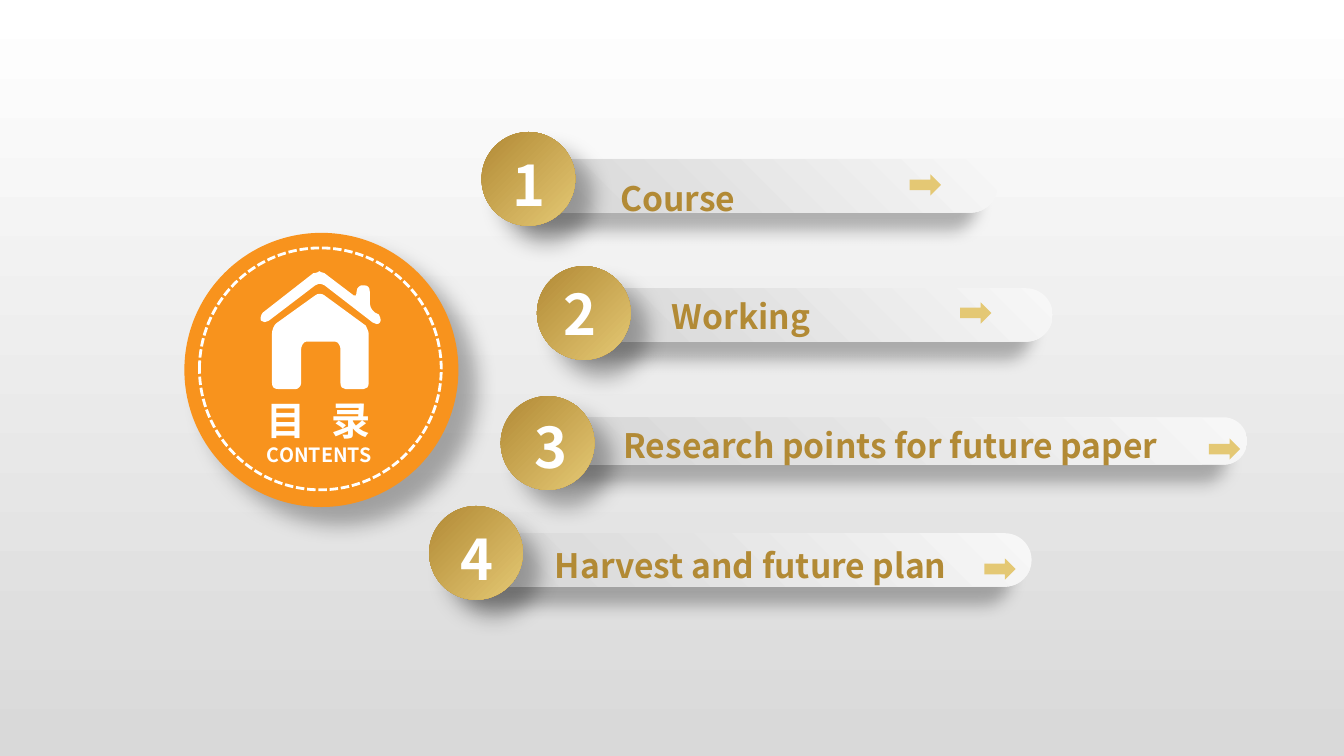
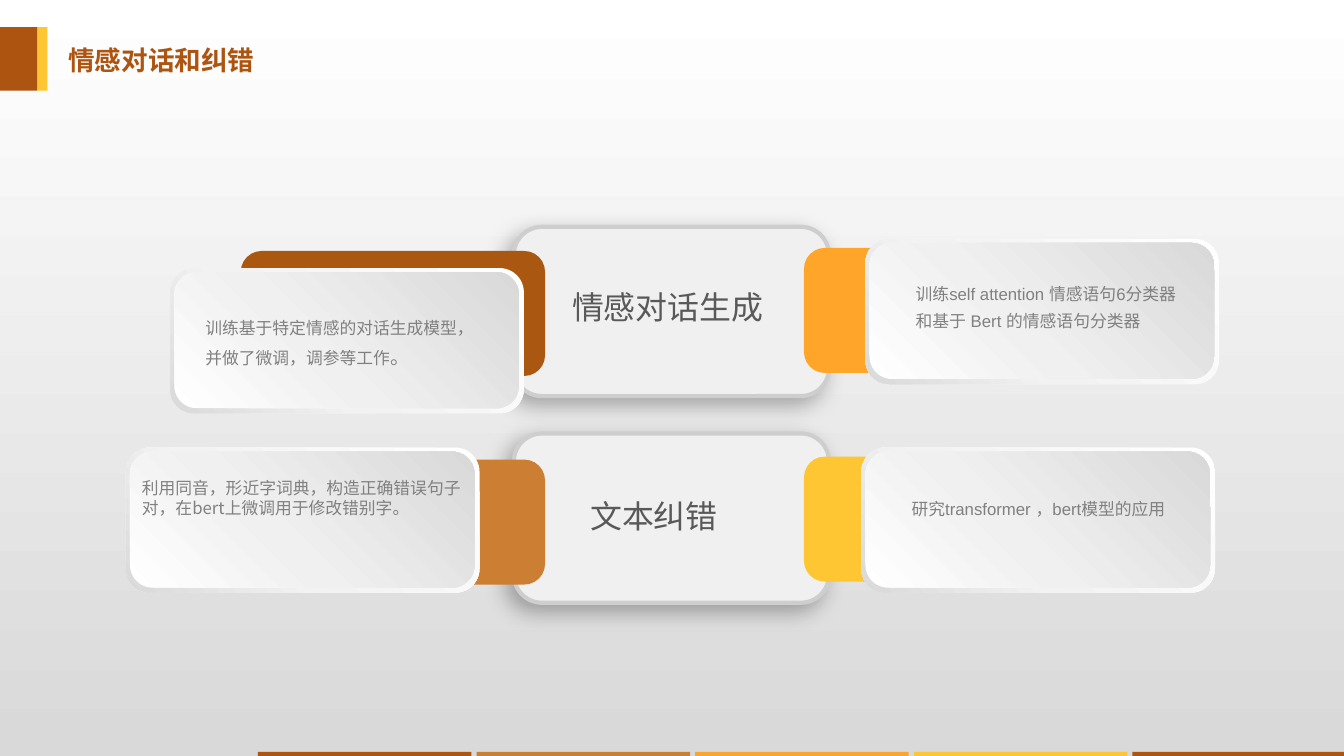
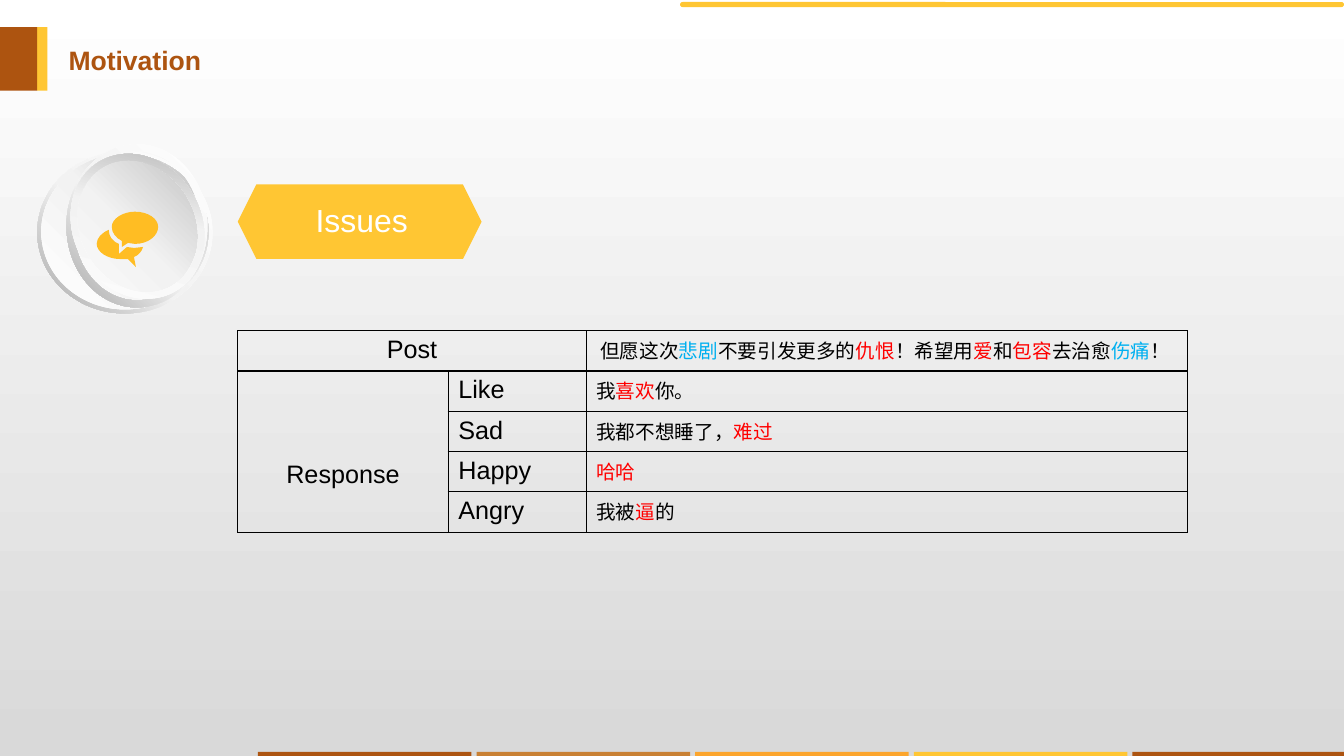
from copy import deepcopy
from typing import NamedTuple, Optional, Sequence

from pptx import Presentation, util as u
from pptx.dml.color import RGBColor
from pptx.enum import dml, shapes, text
from pptx.oxml import parse_xml
from pptx.oxml.ns import nsdecls, qn

C = {
    "white": "FFFFFF", "black": "000000", "page_end": "D9D9D9", "orange": "F8931D",
    "gold": "B28A35", "gold_light": "E4C874", "bar": "D6D6D6", "bar_end": "F7F7F7",
    "panel": "F0F0F0", "panel_end": "F1F1F1", "panel_line": "CECECE", "pale": "F2F2F2",
    "rim": "A6A6A6", "disc": "BFBFBF", "brown": "AD5410", "yellow": "FFC633",
    "bronze": "C98033", "amber": "FCA52C", "tab_brown": "A95711", "tab_bronze": "CC7E33",
    "tab_amber": "FFA52A", "bubble": "FFBD23", "dark": "595959", "grey": "808080",
    "red": "FF0000", "blue": "00B0F0",
}
CJK, LATIN = "Noto Sans CJK SC", "Arial"
KIND = shapes.MSO_SHAPE
TOP, MIDDLE = text.MSO_ANCHOR.TOP, text.MSO_ANCHOR.MIDDLE
CENTER = text.PP_ALIGN.CENTER


class Box(NamedTuple):
    left: float
    top: float
    width: float
    height: float

    def emu(self) -> list:
        return [u.Inches(v) for v in self]


class Font(NamedTuple):
    size: float
    color: str
    name: str = LATIN
    bold: bool = False


class Gradient(NamedTuple):
    """Stops are (percent, colour); the angle runs clockwise, None is radial."""
    stops: Sequence
    angle: Optional[float]


class Shadow(NamedTuple):
    alpha: float
    blur: float
    distance: float
    angle: float


class Entry(NamedTuple):
    """One line of the contents slide."""
    label: str
    bar: Box
    circle: tuple
    number: tuple
    text: Box
    arrow: tuple


class Panel(NamedTuple):
    """A coloured tab with a card over it; each line is a list of (words, size)."""
    tab: tuple
    color: str
    card: tuple
    text: Box
    lines: Sequence
    font: Font
    spacing: float


PAGE = Gradient([(0, "white"), (99, "page_end")], 90)
BAR = Gradient([(0, "bar"), (100, "bar_end")], None)
GOLD = Gradient([(0, "gold"), (100, "gold_light")], 45)
BOARD = Gradient([(0, "panel"), (100, "panel_end")], 45)
CARD_RIM = Gradient([(0, "white"), (62, "pale"), (100, "page_end")], 135)
CARD = Gradient([(0, "white"), (42, "panel"), (100, "page_end")], 315)
RING = Gradient([(0, "white"), (55, "pale"), (100, "rim")], 135)
DISC = Gradient([(0, "white"), (51, "pale"), (100, "disc")], 315)

ROUND_SHADOW = Shadow(30, 15, 18, 45)
BAR_SHADOW = Shadow(28, 11.8, 19.7, 141)
BOARD_SHADOW = Shadow(30, 16, 7, 135)

TITLE = Font(19, "brown", LATIN, True)
NUMBER = Font(40, "white", CJK, True)
LABEL = Font(24, "gold", CJK, True)
HEADING = Font(22.8, "dark")
BODY = Font(12, "grey")

ENTRIES = [
    Entry("Course", Box(5.33, 1.58, 4.57, 0.53), (4.78, 1.31), (4.94, 1.43),
          Box(6.06, 1.7, 3.64, 0.52), (9.03, 1.73)),
    Entry("Working", Box(5.88, 2.86, 4.57, 0.53), (5.33, 2.64), (5.44, 2.71),
          Box(6.57, 2.88, 3.64, 0.52), (9.53, 3)),
    Entry("Research points for future paper", Box(5.53, 4.14, 6.85, 0.47), (4.97, 3.93),
          (5.15, 4.03), Box(6.09, 4.16, 6.12, 0.52), (12, 4.35)),
    Entry("Harvest and future plan", Box(4.81, 5.29, 5.43, 0.53), (4.26, 5.02),
          (4.42, 5.14), Box(5.41, 5.35, 4.5, 0.52), (9.77, 5.54)),
]
PANELS = [
    Panel((2.39, 2.49), "tab_brown", (1.69, 2.66), Box(1.94, 3.04, 2.72, 0.64),
          [[("训练基于特定情感的对话生成模型，并做了微调，调参等工作", 12), ("。", 14)]],
          BODY, 1.3),
    Panel((2.39, 4.56), "tab_bronze", (1.25, 4.44), Box(1.31, 4.69, 3.42, 0.5),
          [[("利用同音，形近字词典，构造正确错误句子对，在bert上微调用于修改错别字。", 12)]],
          Font(12, "grey", CJK), 1),
    Panel((7.98, 2.46), "tab_amber", (8.59, 2.37), Box(8.99, 2.71, 3.12, 0.63),
          [[("训练self attention 情感语句6分类器", 12)], [("和基于 Bert 的情感语句分类器", 12)]],
          BODY, 1.3),
    Panel((7.98, 4.53), "yellow", (8.55, 4.44), Box(8.95, 4.84, 2.84, 0.36),
          [[("研究transformer ，bert模型的应用", 12)]], BODY, 1.3),
]

# Outlines: two numbers are a straight step, six are a cubic curve.
HOUSE = [
    (3.22, 2.93), (3.2, 2.91, 3.15, 2.91, 3.13, 2.93), (2.74, 3.21),
    (2.72, 3.23, 2.7, 3.27, 2.7, 3.31), (2.7, 3.8), (2.7, 3.84, 2.72, 3.86, 2.76, 3.86),
    (2.94, 3.86), (2.95, 3.86, 2.99, 3.84, 2.99, 3.8), (2.99, 3.46),
    (2.99, 3.44, 3.01, 3.39, 3.04, 3.39), (3.33, 3.39),
    (3.36, 3.39, 3.38, 3.44, 3.38, 3.46), (3.38, 3.8),
    (3.38, 3.84, 3.4, 3.86, 3.43, 3.86), (3.61, 3.86),
    (3.64, 3.86, 3.66, 3.84, 3.66, 3.8), (3.66, 3.31),
    (3.66, 3.29, 3.64, 3.25, 3.63, 3.23),
]
ROOF = [
    (3.72, 3.1), (3.68, 3.07, 3.67, 3.03, 3.67, 2.99), (3.67, 2.89),
    (3.67, 2.85, 3.65, 2.83, 3.61, 2.83), (3.59, 2.83),
    (3.58, 2.83, 3.54, 2.85, 3.54, 2.89), (3.54, 2.93, 3.52, 2.95, 3.51, 2.93),
    (3.22, 2.71), (3.2, 2.71, 3.17, 2.69, 3.17, 2.69),
    (3.17, 2.69, 3.15, 2.71, 3.11, 2.71), (2.61, 3.1),
    (2.59, 3.12, 2.58, 3.16, 2.59, 3.18), (2.61, 3.2, 2.63, 3.2, 2.67, 3.18),
    (3.13, 2.83), (3.15, 2.81, 3.18, 2.81, 3.22, 2.83), (3.7, 3.2),
    (3.72, 3.22, 3.76, 3.22, 3.77, 3.2), (3.79, 3.18, 3.77, 3.14, 3.76, 3.12),
]
BACK_BUBBLE = [
    (1.26, 2.45), (1.25, 2.46, 1.18, 2.52, 1.18, 2.52), (1.18, 2.42),
    (1.11, 2.39, 1.08, 2.34, 1.08, 2.28), (1.01, 2.31, 0.96, 2.36, 0.96, 2.42),
    (0.96, 2.5, 1.07, 2.57, 1.19, 2.57), (1.27, 2.57), (1.35, 2.65), (1.33, 2.55),
    (1.38, 2.53, 1.41, 2.49, 1.42, 2.45), (1.39, 2.45, 1.36, 2.46, 1.33, 2.46),
]
FRONT_BUBBLE = [
    (1.34, 2.1), (1.22, 2.1, 1.11, 2.17, 1.11, 2.25), (1.11, 2.31, 1.15, 2.36, 1.21, 2.39),
    (1.21, 2.45), (1.27, 2.41), (1.29, 2.41, 1.32, 2.42, 1.34, 2.42),
    (1.47, 2.42, 1.57, 2.34, 1.57, 2.25), (1.57, 2.17, 1.47, 2.1, 1.34, 2.1),
]

REPLIES = [
    ("Like", [("我", "black"), ("喜欢", "red"), ("你。", "black")]),
    ("Sad", [("我都不想睡了，", "black"), ("难过", "red")]),
    ("Happy", [("哈哈", "red")]),
    ("Angry", [("我被", "black"), ("逼", "red"), ("的", "black")]),
]
POST = [("但愿这次", "black"), ("悲剧", "blue"), ("不要引发更多的", "black"), ("仇恨", "red"),
        ("！希望用", "black"), ("爱", "red"), ("和", "black"), ("包容", "red"),
        ("去治愈", "black"), ("伤痛", "blue"), ("！", "black")]


def rgb(name: str) -> RGBColor:
    return RGBColor.from_string(C[name])


def set_gradient(fill, element, gradient: Gradient) -> None:
    fill.gradient()
    stops = element.find(".//" + qn("a:gsLst"))
    while len(stops) < len(gradient.stops):
        stops.append(deepcopy(stops[0]))
    for stop, (position, color) in zip(fill.gradient_stops, gradient.stops):
        stop.color.rgb = rgb(color)
        stop.position = position / 100
    if gradient.angle is None:
        lin = element.find(".//" + qn("a:lin"))
        lin.getparent().replace(lin, parse_xml(
            f'<a:path {nsdecls("a")} path="circle">'
            '<a:fillToRect t="100000" r="100000"/></a:path>'))
    else:
        fill.gradient_angle = 360 - gradient.angle


def finish(sp, fill, shadow: Optional[Shadow] = None):
    """Give a new shape its fill and shadow, and no outline."""
    sp.shadow.inherit = False
    sp.line.fill.background()
    if fill is None:
        sp.fill.background()
    elif isinstance(fill, Gradient):
        set_gradient(sp.fill, sp.element, fill)
    else:
        sp.fill.solid()
        sp.fill.fore_color.rgb = rgb(fill)
    if shadow:
        sp.element.spPr.find(qn("a:effectLst")).append(parse_xml(
            f'<a:outerShdw {nsdecls("a")} blurRad="{u.Pt(shadow.blur)}" '
            f'dist="{u.Pt(shadow.distance)}" dir="{shadow.angle * 60000}" '
            f'algn="ctr" rotWithShape="0"><a:srgbClr val="{C["black"]}">'
            f'<a:alpha val="{shadow.alpha * 1000}"/></a:srgbClr></a:outerShdw>'))
    return sp


def add_shape(s, kind, box: Box, fill, shadow: Optional[Shadow] = None,
              adjust: Optional[float] = None):
    sp = s.shapes.add_shape(kind, *box.emu())
    if adjust is not None:
        sp.adjustments[0] = adjust
    return finish(sp, fill, shadow)


def add_outline(s, contours: Sequence, fill: str) -> None:
    """Build one freeform, then bend the steps that are cubic curves."""
    builder = None
    for start, *steps in contours:
        x, y = (u.Inches(v) for v in start)
        if builder is None:
            builder = s.shapes.build_freeform(x, y, scale=1.0)
        else:
            builder.move_to(x, y)
        builder.add_line_segments([(u.Inches(seg[-2]), u.Inches(seg[-1])) for seg in steps])
    sp = finish(builder.convert_to_shape(), fill)
    steps = [seg for contour in contours for seg in contour[1:]]
    for line, seg in zip(list(sp.element.iter(qn("a:lnTo"))), steps):
        if len(seg) == 6:
            points = "".join(f'<a:pt x="{u.Inches(x) - sp.left}" y="{u.Inches(y) - sp.top}"/>'
                             for x, y in zip(seg[::2], seg[1::2]))
            line.getparent().replace(line, parse_xml(
                f'<a:cubicBezTo {nsdecls("a")}>{points}</a:cubicBezTo>'))


def style(p, font: Font, align=None, spacing: Optional[float] = None) -> None:
    p.font.size = u.Pt(font.size)
    p.font.bold = font.bold
    p.font.color.rgb = rgb(font.color)
    p.font.name = font.name
    p._p.find(".//" + qn("a:defRPr")).append(
        parse_xml(f'<a:ea {nsdecls("a")} typeface="{font.name}"/>'))
    if align is not None:
        p.alignment = align
    if spacing is not None:
        p.line_spacing = spacing


def write(tf, lines: Sequence, font: Font, align=None, spacing: Optional[float] = None,
          anchor=MIDDLE) -> None:
    """Each line is a list of (words, size)."""
    tf.word_wrap = True
    tf.vertical_anchor = anchor
    for i, line in enumerate(lines):
        p = tf.add_paragraph() if i else tf.paragraphs[0]
        style(p, font, align, spacing)
        for words, size in line:
            r = p.add_run()
            r.text = words
            if size != font.size:
                r.font.size = u.Pt(size)


def add_text(s, box: Box, words: str, font: Font, align=None) -> None:
    write(s.shapes.add_textbox(*box.emu()).text_frame, [[(words, font.size)]], font, align)


def add_title(s, box: Box, lines: Sequence, font: Font):
    """Place the title in front of what is drawn so far."""
    sp = s.shapes.title
    sp.left, sp.top, sp.width, sp.height = box.emu()
    sp.element.getparent().append(sp.element)
    sp.text_frame.auto_size = text.MSO_AUTO_SIZE.NONE
    write(sp.text_frame, lines, font, align=text.PP_ALIGN.LEFT)
    return sp


def new_slide(prs):
    return prs.slides.add_slide(prs.slide_layouts[5])


def content_slide(prs, title: str):
    s = new_slide(prs)
    add_shape(s, KIND.RECTANGLE, Box(0.37, 0.27, 0.1, 0.63), "yellow")
    add_shape(s, KIND.RECTANGLE, Box(0, 0.27, 0.37, 0.63), "brown")
    for i, color in enumerate(("brown", "bronze", "amber", "yellow", "brown")):
        add_shape(s, KIND.RECTANGLE, Box(2.56 + 2.17 * i, 7.46, 2.12, 0.05), color)
    add_title(s, Box(0.58, 0.38, 2.4, 0.42), [[(title, TITLE.size)]], TITLE)
    return s


def contents(prs) -> None:
    s = new_slide(prs)
    add_shape(s, KIND.OVAL, Box(1.83, 2.31, 2.72, 2.72), "orange", ROUND_SHADOW)
    for outline in (HOUSE, ROOF):
        add_outline(s, [outline], "white")
    title = add_title(s, Box(2.55, 3.82, 1.48, 0.92), [[("目 录", 28)], [("CONTENTS", 14)]],
                      Font(28, "white", CJK, True))
    title.text_frame.paragraphs[0].runs[0].font._element.set("spc", "600")
    ring = add_shape(s, KIND.OVAL, Box(1.98, 2.46, 2.4, 2.4), None)
    ring.line.color.rgb = rgb("white")
    ring.line.width = u.Pt(2)
    ring.line.dash_style = dml.MSO_LINE.SQUARE_DOT
    for i, e in enumerate(ENTRIES, 1):
        add_shape(s, KIND.ROUNDED_RECTANGLE, e.bar, BAR, BAR_SHADOW, 0.5)
        add_shape(s, KIND.OVAL, Box(*e.circle, 0.93, 0.93), GOLD, ROUND_SHADOW)
        add_text(s, Box(*e.number, 0.63, 0.8), str(i), NUMBER, CENTER)
        add_text(s, e.text, e.label, LABEL)
        add_shape(s, KIND.RIGHT_ARROW, Box(*e.arrow, 0.31, 0.21), "gold_light")


def dialogue(prs) -> None:
    s = content_slide(prs, "情感对话和纠错")
    for top in (2.25, 4.3):
        board = add_shape(s, KIND.ROUNDED_RECTANGLE, Box(5.1, top, 3.13, 1.68), BOARD,
                          BOARD_SHADOW)
        board.line.color.rgb = rgb("panel_line")
        board.line.width = u.Pt(3)
    for panel in PANELS:
        x, y = panel.tab
        left, top = panel.card
        for box, fill in ((Box(x, y, 3.02, 1.24), panel.color),
                          (Box(x + 0.03, y + 0.04, 2.95, 1.17), panel.color),
                          (Box(left, top, 3.51, 1.44), CARD_RIM),
                          (Box(left + 0.04, top + 0.04, 3.42, 1.35), CARD)):
            add_shape(s, KIND.ROUNDED_RECTANGLE, box, fill)
        write(s.shapes.add_textbox(*panel.text.emu()).text_frame, panel.lines, panel.font,
              spacing=panel.spacing, anchor=TOP)
    add_text(s, Box(5.58, 2.8, 2.35, 0.48), "情感对话生成", HEADING)
    add_text(s, Box(5.76, 4.88, 2.35, 0.48), "文本纠错", HEADING)


def fill_cell(cell, runs: Sequence, size: float, align=None) -> None:
    p = cell.text_frame.paragraphs[0]
    style(p, Font(size, "black"), align)
    for words, color in runs:
        r = p.add_run()
        r.text = words
        if color != "black":
            r.font.color.rgb = rgb(color)


def add_replies(s) -> None:
    table = s.shapes.add_table(5, 3, *Box(2.36, 3.28, 9.42, 2).emu()).table
    table.first_row = table.horz_banding = False
    for column, width in zip(table.columns, (2.09, 1.37, 5.97)):
        column.width = u.Inches(width)
    for cell in table.iter_cells():
        cell.fill.background()
        cell.vertical_anchor = TOP
        tc_pr = cell._tc.get_or_add_tcPr()
        for i, side in enumerate("LRTB"):
            tc_pr.insert(i, parse_xml(
                f'<a:ln{side} {nsdecls("a")} w="{u.Pt(1)}"><a:solidFill>'
                f'<a:srgbClr val="{C["black"]}"/></a:solidFill></a:ln{side}>'))
    table.cell(0, 0).merge(table.cell(0, 1))
    response = table.cell(1, 0)
    response.merge(table.cell(4, 0))
    response.vertical_anchor = MIDDLE
    response.margin_top = u.Inches(0.52)
    table.cell(0, 2).margin_left = u.Inches(0.14)
    fill_cell(table.cell(0, 0), [("Post", "black")], 18, CENTER)
    fill_cell(response, [("Response", "black")], 18, CENTER)
    for row, (mood, reply) in enumerate([("", POST), *REPLIES]):
        if mood:
            fill_cell(table.cell(row, 1), [(mood, "black")], 18)
        table.cell(row, 2).margin_top = u.Inches(0.1)
        fill_cell(table.cell(row, 2), reply, 14)


def motivation(prs) -> None:
    s = content_slide(prs, "Motivation")
    issues = add_shape(s, KIND.HEXAGON, Box(2.36, 1.83, 2.42, 0.74), "yellow")
    write(issues.text_frame, [[("Issues", 22.8)]], Font(22.8, "white"), align=CENTER)
    issues.text_frame.margin_left = u.Inches(0.14)
    issues.text_frame.margin_bottom = u.Inches(0.09)
    add_shape(s, KIND.DONUT, Box(0.37, 1.5, 1.74, 1.61), RING, adjust=0.05)
    add_shape(s, KIND.OVAL, Box(0.41, 1.53, 1.66, 1.54), DISC)
    add_shape(s, KIND.DONUT, Box(0.66, 1.43, 1.4, 1.62), RING, adjust=0.05)
    inner = add_shape(s, KIND.DONUT, Box(0.73, 1.5, 1.27, 1.49), RING, adjust=0.05)
    inner.rotation = 150
    add_shape(s, KIND.ROUNDED_RECTANGLE, Box(6.75, 0.02, 6.59, 0.05), "yellow", adjust=0.5)
    add_replies(s)
    add_outline(s, [BACK_BUBBLE, FRONT_BUBBLE], "bubble")


def main() -> None:
    prs = Presentation()
    prs.slide_width, prs.slide_height = u.Inches(13.34), u.Inches(7.5)
    master = prs.slide_master
    set_gradient(master.background.fill, master.element, PAGE)
    contents(prs)
    dialogue(prs)
    motivation(prs)
    prs.save("out.pptx")


if __name__ == "__main__":
    main()
